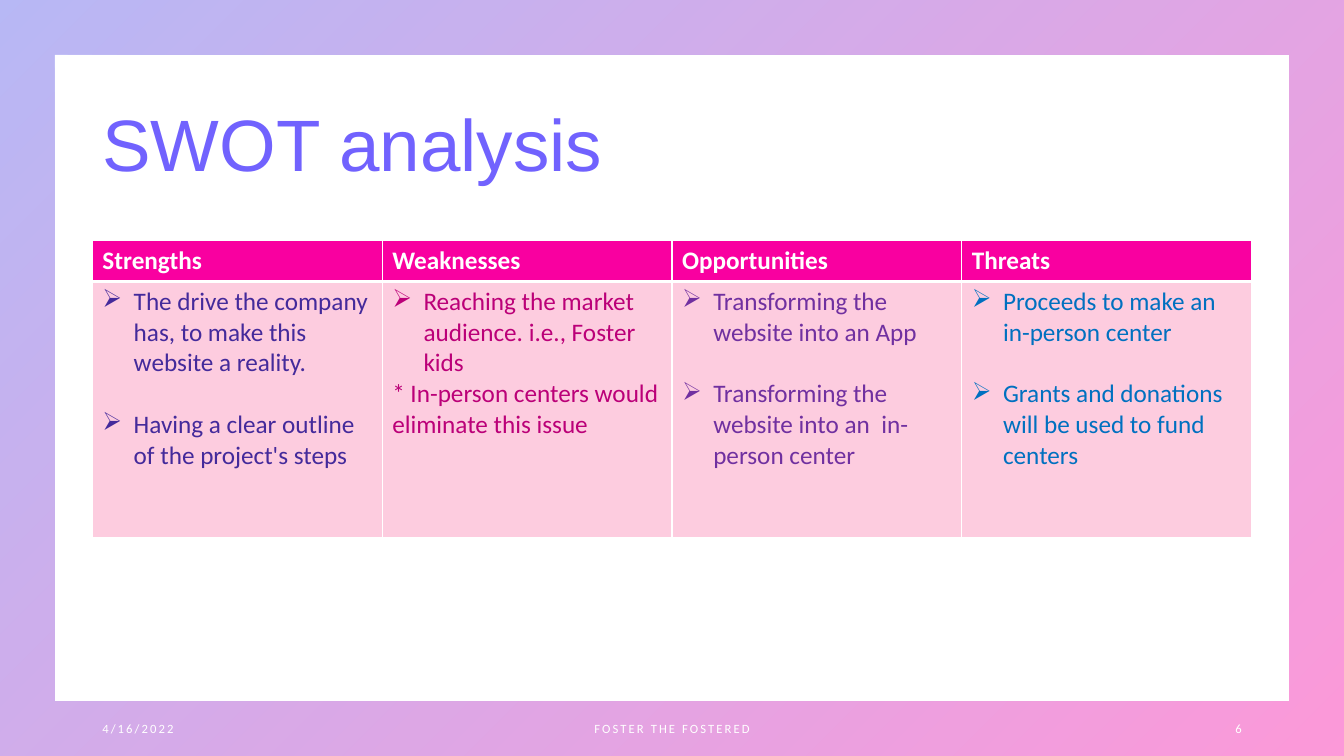
from pptx import Presentation
from pptx import util as u
from pptx.dml.color import RGBColor
from pptx.enum import shapes, text
from pptx.oxml import ns, xmlchemy

COLUMNS, ROWS = 160, 90
ALIGN = text.PP_ALIGN


def colour(code):
    return RGBColor.from_string(code)


def add_element(parent, tag, **attributes):
    element = xmlchemy.OxmlElement(tag)
    for name, value in attributes.items():
        element.set(name, str(value))
    parent.append(element)
    return element


class SlideBuilder:
    heading_font, body_font = "Arial", "Calibri"
    white, violet, indigo, pink, blush = "FFFFFF", "7162FE", "4D4EE6", "F900A0", "FDCCDF"
    bullet = "➢"
    bullet_indent = u.Inches(0.31)
    item_gap = u.Pt(22)

    def __init__(self, deck):
        self.unit_x = deck.slide_width / COLUMNS
        self.unit_y = deck.slide_height / ROWS
        self.page = deck.slides.add_slide(deck.slide_layouts[5])

    def place(self, left, top, width, height):
        return [round(left * self.unit_x), round(top * self.unit_y),
                round(width * self.unit_x), round(height * self.unit_y)]

    def style(self, para, size, code, bold=False, font=None):
        para.font.name = font or self.body_font
        para.font.size = u.Pt(size)
        para.font.bold = bold
        para.font.color.rgb = colour(code)

    def frame(self, thickness):
        border = self.page.shapes.add_shape(
            shapes.MSO_SHAPE.FRAME, *self.place(0, 0, COLUMNS, ROWS))
        border.adjustments[0] = thickness
        border.shadow.inherit = False
        border.line.fill.background()
        border.fill.gradient()
        border.fill.gradient_angle = 315
        for stop, code in zip(border.fill.gradient_stops, (self.indigo, self.pink)):
            stop.color.rgb = colour(code)
        for shade in border.fill._xPr.iter(ns.qn("a:srgbClr")):
            add_element(shade, "a:alpha", val=40000)

    def title(self, words, *cells):
        box = self.page.shapes.title
        box.left, box.top, box.width, box.height = self.place(*cells)
        box.text_frame.text = words
        box.text_frame.auto_size = text.MSO_AUTO_SIZE.NONE
        box.text_frame.vertical_anchor = text.MSO_ANCHOR.MIDDLE
        para = box.text_frame.paragraphs[0]
        para.alignment = ALIGN.LEFT
        para.line_spacing = 0.9
        self.style(para, 52, self.violet, font=self.heading_font)

    def footer(self, words, align, left, width):
        box = self.page.shapes.add_textbox(*self.place(left, 84.36, width, 4.8))
        box.text_frame.word_wrap = True
        box.text_frame.vertical_anchor = text.MSO_ANCHOR.MIDDLE
        para = box.text_frame.paragraphs[0]
        para.text = words
        para.alignment = align
        self.style(para, 9, self.white)
        para._p.pPr.find(ns.qn("a:defRPr")).set("spc", "150")

    def borders(self, cell, top, bottom):
        properties = cell._tc.get_or_add_tcPr()
        widths = {"a:lnL": 1, "a:lnR": 1, "a:lnT": top, "a:lnB": bottom}
        for position, (tag, width) in enumerate(widths.items()):
            line = add_element(properties, tag, w=u.Pt(width))
            add_element(add_element(line, "a:solidFill"), "a:srgbClr", val=self.white)
            properties.insert(position, line)

    def items(self, cell, code, entries):
        for index, words in enumerate(entries):
            frame = cell.text_frame
            para = frame.add_paragraph() if index else frame.paragraphs[0]
            para.text = words
            if not words.startswith("*"):
                if index:
                    para.space_before = self.item_gap
                properties = para._p.get_or_add_pPr()
                properties.set("marL", str(self.bullet_indent))
                properties.set("indent", str(-self.bullet_indent))
                add_element(properties, "a:buChar", char=self.bullet)
            self.style(para, 18, code)

    def table(self, quadrants, left, top, width, heights):
        area = self.place(left, top, width, sum(heights))
        grid = self.page.shapes.add_table(2, len(quadrants), *area).table
        for row, height in zip(grid.rows, heights):
            row.height = round(height * self.unit_y)
        for index, (heading, code, entries) in enumerate(quadrants):
            head, body = grid.cell(0, index), grid.cell(1, index)
            for cell, fill, top_line, bottom_line in (
                    (head, self.pink, 1, 3), (body, self.blush, 3, 1)):
                cell.fill.solid()
                cell.fill.fore_color.rgb = colour(fill)
                self.borders(cell, top_line, bottom_line)
            head.text = heading
            self.style(head.text_frame.paragraphs[0], 18, self.white, bold=True)
            self.items(body, code, entries)


def main():
    deck = Presentation()
    deck.slide_width, deck.slide_height = u.Inches(13.33), u.Inches(7.5)
    slide = SlideBuilder(deck)
    slide.frame(0.072)
    slide.title("SWOT analysis", 11, 8.9, 138, 17.4)
    slide.footer("4/16/2022", ALIGN.LEFT, 11, 36)
    slide.footer("FOSTER THE FOSTERED", ALIGN.CENTER, 53, 54)
    slide.footer("6", ALIGN.RIGHT, 113, 36)
    quadrants = [
        ("Strengths", "442A9B", [
            "The drive the company has, to make this website a reality.",
            "Having a clear outline of the project's steps"]),
        ("Weaknesses", "BB0078", [
            "Reaching the market audience. i.e., Foster kids",
            "* In-person centers would eliminate this issue"]),
        ("Opportunities", "7030A0", [
            "Transforming the website into an App",
            "Transforming the website into an  in-person center"]),
        ("Threats", "0070C0", [
            "Proceeds to make an in-person center",
            "Grants and donations will be used to fund centers"]),
    ]
    slide.table(quadrants, 11, 28.6, 138, (4.9, 30.5))
    deck.save("out.pptx")


if __name__ == "__main__":
    main()
